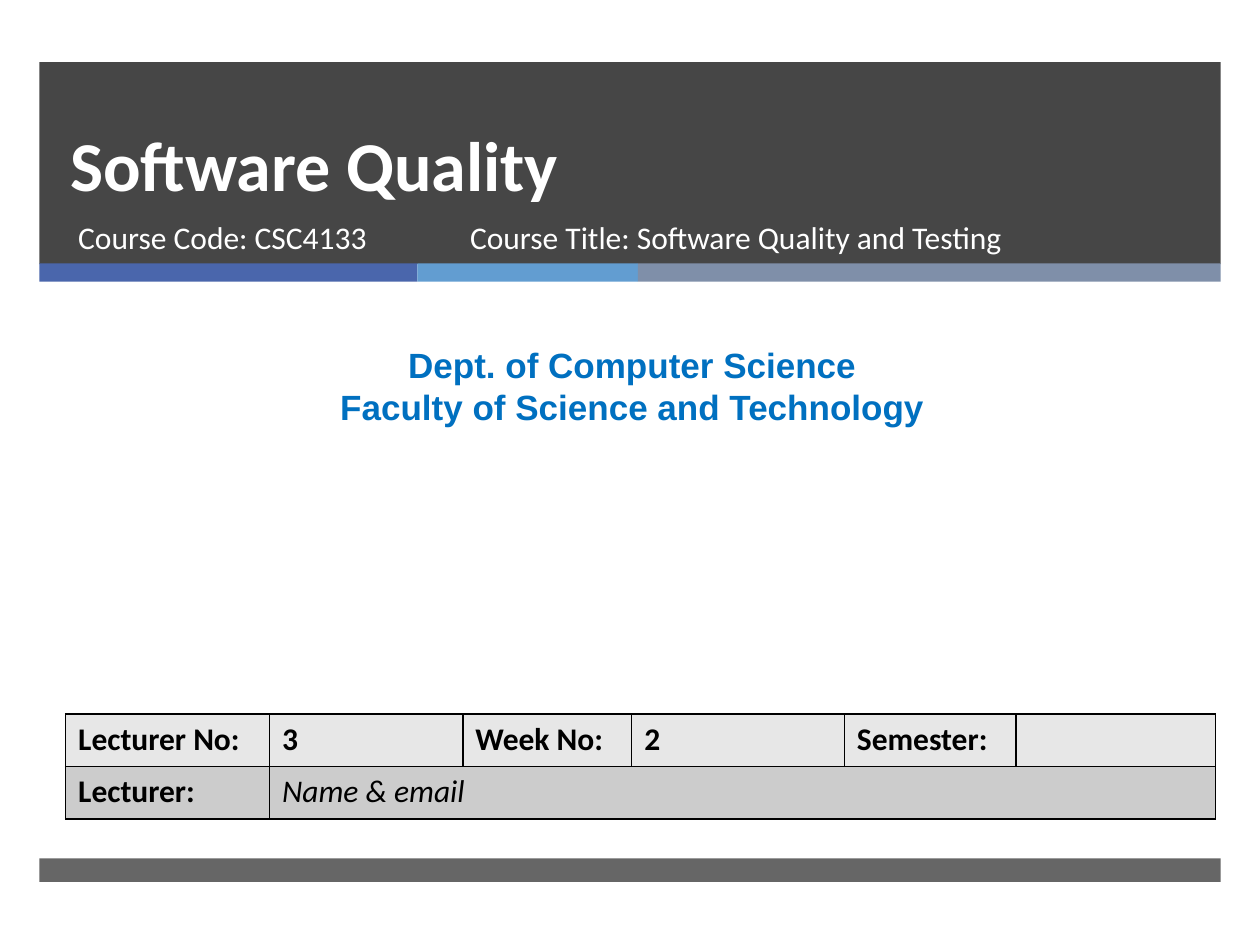
"""Build the opening slide of a software quality course."""
import pptx
import pptx.dml.color
import pptx.enum.shapes
import pptx.enum.text
import pptx.oxml
import pptx.oxml.ns
import pptx.util

Pt = pptx.util.Pt
RGBColor = pptx.dml.color.RGBColor
Align = pptx.enum.text.PP_ALIGN
Anchor = pptx.enum.text.MSO_ANCHOR
Fit = pptx.enum.text.MSO_AUTO_SIZE
RECT = pptx.enum.shapes.MSO_SHAPE.RECTANGLE

BLACK = RGBColor(0x00, 0x00, 0x00)
WHITE = RGBColor(0xFF, 0xFF, 0xFF)
DARK = RGBColor(0x26, 0x26, 0x26)
INDIGO = RGBColor(0x4A, 0x66, 0xAC)
SKY = RGBColor(0x62, 0x9D, 0xD1)
SLATE = RGBColor(0x7F, 0x8F, 0xA9)
BLUE = RGBColor(0x00, 0x70, 0xC0)
PALE = RGBColor(0xE7, 0xE7, 0xE7)
GRAY = RGBColor(0xCC, 0xCC, 0xCC)

LEFT, WIDTH = 22.5, 675
STRIPES = [(216, INDIGO), (126, SKY), (333, SLATE)]
COLS = [116.5, 110.5, 96.5, 121.5, 98, 114]
ROWS = [
    (PALE, ["Lecturer No:", "3", "Week No:", "2", "Semester:", ""]),
    (GRAY, ["Lecturer:", "Name & email"]),
]


def write(frame, text, size=18, font="Calibri", color=WHITE, bold=False,
          slant=False, align=Align.LEFT, lead=None):
    """Fill a text frame, one paragraph for each line of text."""
    frame.text = text
    for para in frame.paragraphs:
        para.alignment = align
        para.space_before = Pt(0)
        if lead:
            para.line_spacing = Pt(lead)
        for run in para.runs:
            face = run.font
            face.name, face.size = font, Pt(size)
            face.bold, face.italic = bold, slant
            face.color.rgb = color


class Deck:
    """Hold the style and the current slide."""

    def __init__(self, rule=BLACK, weight=1):
        """Open a deck with one title slide."""
        self.rule, self.weight = rule, weight
        self.file = pptx.Presentation()
        self.file.slide_width, self.file.slide_height = Pt(720), Pt(540)
        self.slide = self.file.slides.add_slide(self.file.slide_layouts[0])

    def bar(self, box, color, alpha=100):
        """Draw a plain bar, see-through when alpha is below 100."""
        shape = self.slide.shapes.add_shape(RECT, *map(Pt, box))
        shape.shadow.inherit = False
        shape.fill.solid()
        shape.fill.fore_color.rgb = color
        shape.line.fill.background()
        if alpha < 100:
            tint = shape.element.spPr.find(".//" + pptx.oxml.ns.qn("a:srgbClr"))
            tint.append(pptx.oxml.parse_xml(
                f'<a:alpha {pptx.oxml.ns.nsdecls("a")} val="{alpha * 1000}"/>'))

    def holder(self, index, box, text, anchor=Anchor.TOP, **style):
        """Place a template placeholder in front and fill it."""
        shape = self.slide.placeholders[index]
        shape.left, shape.top, shape.width, shape.height = map(Pt, box)
        shape.element.getparent().append(shape.element)
        frame = shape.text_frame
        frame.auto_size, frame.vertical_anchor = Fit.NONE, anchor
        write(frame, text, **style)

    def label(self, box, text, fit=Fit.NONE, **style):
        """Add a wrapped text box."""
        frame = self.slide.shapes.add_textbox(*map(Pt, box)).text_frame
        frame.word_wrap, frame.auto_size = True, fit
        write(frame, text, **style)

    def border(self, cell):
        """Rule all four sides of a cell."""
        props = cell._tc.get_or_add_tcPr()
        for side in "LRTB":
            props.append(pptx.oxml.parse_xml(
                f'<a:ln{side} {pptx.oxml.ns.nsdecls("a")} w="{Pt(self.weight)}">'
                f'<a:solidFill><a:srgbClr val="{self.rule}"/></a:solidFill>'
                f'</a:ln{side}>'))

    def table(self, left, top, high, cols, rows):
        """Add a table; a short row spans its last cell to the edge."""
        box = map(Pt, (left, top, sum(cols), high * len(rows)))
        grid = self.slide.shapes.add_table(len(rows), len(cols), *box).table
        grid.first_row = grid.horz_banding = False
        for col, wide in zip(grid.columns, cols):
            col.width = Pt(wide)
        for r, (fill, texts) in enumerate(rows):
            grid.rows[r].height = Pt(high)
            for c in range(len(cols)):
                cell = grid.cell(r, c)
                self.border(cell)
                cell.fill.solid()
                cell.fill.fore_color.rgb = fill
            for c, text in enumerate(texts):
                span = c == len(texts) - 1 and len(texts) < len(cols)
                cell = grid.cell(r, c)
                if span:
                    cell.merge(grid.cell(r, len(cols) - 1))
                write(cell.text_frame, text, color=BLACK, bold=not span, slant=span)


def main():
    """Build and save the slide."""
    deck = Deck()
    deck.bar((LEFT, 35.5, WIDTH, 115.5), DARK, 85)
    left = LEFT
    for wide, color in STRIPES:
        deck.bar((left, 150.5, wide, 10.5), color)
        left += wide
    deck.bar((LEFT, 490.5, WIDTH, 13.5), DARK, 70)
    deck.holder(0, (33, 62.5, 615, 58.5), "Software Quality", Anchor.BOTTOM,
                size=40, bold=True, lead=46)
    deck.holder(1, (37.5, 121, 219.5, 38), "Course Code: CSC4133")
    deck.label((6, 193, 710.5, 55.5),
               "Dept. of Computer Science\nFaculty of Science and Technology",
               fit=Fit.SHAPE_TO_FIT_TEXT, size=20, font="Arial", color=BLUE,
               bold=True, align=Align.CENTER)
    deck.table(37.5, 408, 30, COLS, ROWS)
    deck.label((261.5, 121, 327.5, 38), "Course Title: Software Quality and Testing")
    deck.file.save("out.pptx")


if __name__ == "__main__":
    main()
